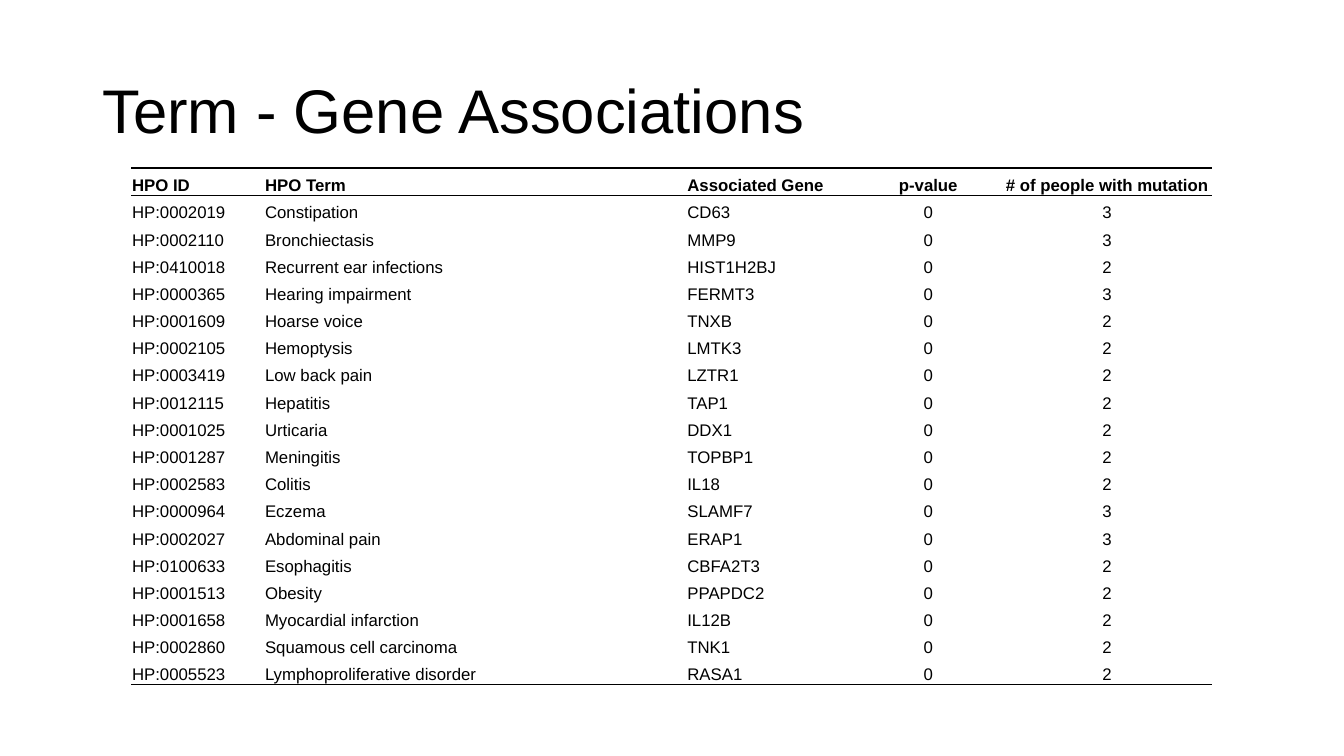
from dataclasses import dataclass

import lxml.etree
import pptx
import pptx.dml.color
import pptx.enum.text
import pptx.oxml.ns
import pptx.slide
import pptx.table
import pptx.text.text
import pptx.util

SLIDE_WIDTH = pptx.util.Inches(13.33)
SLIDE_HEIGHT = pptx.util.Inches(7.5)
GRID_COLUMNS = 160
GRID_ROWS = 90
BLANK_LAYOUT = 6
FONT = "Arial"
INK = "000000"
RULE_WIDTH = pptx.util.Pt(1)
ROW_HEIGHT = 3.24
PLAIN_TABLE_STYLE = "{2D5ABB26-0587-4C30-8999-92F81FD0307C}"
LEFT = pptx.enum.text.PP_ALIGN.LEFT
CENTER = pptx.enum.text.PP_ALIGN.CENTER


@dataclass(frozen=True)
class Field:
    heading: str
    width: float
    alignment: pptx.enum.text.PP_ALIGN = LEFT


@dataclass(frozen=True)
class Association:
    hpo_id: str
    term: str
    gene: str
    people: int
    p_value: int = 0

    def values(self) -> list[str]:
        return [self.hpo_id, self.term, self.gene, str(self.p_value), str(self.people)]


FIELDS = [
    Field("HPO ID", 15.84),
    Field("HPO Term", 50.28),
    Field("Associated Gene", 20.04),
    Field("p-value", 17.52, CENTER),
    Field("# of people with mutation", 25.08, CENTER),
]

ASSOCIATIONS = [
    Association("HP:0002019", "Constipation", "CD63", 3),
    Association("HP:0002110", "Bronchiectasis", "MMP9", 3),
    Association("HP:0410018", "Recurrent ear infections", "HIST1H2BJ", 2),
    Association("HP:0000365", "Hearing impairment", "FERMT3", 3),
    Association("HP:0001609", "Hoarse voice", "TNXB", 2),
    Association("HP:0002105", "Hemoptysis", "LMTK3", 2),
    Association("HP:0003419", "Low back pain", "LZTR1", 2),
    Association("HP:0012115", "Hepatitis", "TAP1", 2),
    Association("HP:0001025", "Urticaria", "DDX1", 2),
    Association("HP:0001287", "Meningitis", "TOPBP1", 2),
    Association("HP:0002583", "Colitis", "IL18", 2),
    Association("HP:0000964", "Eczema", "SLAMF7", 3),
    Association("HP:0002027", "Abdominal pain", "ERAP1", 3),
    Association("HP:0100633", "Esophagitis", "CBFA2T3", 2),
    Association("HP:0001513", "Obesity", "PPAPDC2", 2),
    Association("HP:0001658", "Myocardial infarction", "IL12B", 2),
    Association("HP:0002860", "Squamous cell carcinoma", "TNK1", 2),
    Association("HP:0005523", "Lymphoproliferative disorder", "RASA1", 2),
]


def across(columns: float) -> int:
    return round(SLIDE_WIDTH * columns / GRID_COLUMNS)


def down(rows: float) -> int:
    return round(SLIDE_HEIGHT * rows / GRID_ROWS)


def color(hex_value: str) -> pptx.dml.color.RGBColor:
    return pptx.dml.color.RGBColor.from_string(hex_value)


def style_text(paragraph: pptx.text.text._Paragraph, size: float, bold: bool = False) -> None:
    for run in paragraph.runs:
        run.font.name = FONT
        run.font.size = pptx.util.Pt(size)
        run.font.bold = bold
        run.font.color.rgb = color(INK)


def add_rule(cell: pptx.table._Cell, edge: str) -> None:
    qn = pptx.oxml.ns.qn
    properties = cell._tc.get_or_add_tcPr()
    rule = lxml.etree.SubElement(properties, qn(f"a:{edge}"), w=str(RULE_WIDTH))
    fill = lxml.etree.SubElement(rule, qn("a:solidFill"))
    lxml.etree.SubElement(fill, qn("a:srgbClr"), val=INK)


def fill_cell(cell: pptx.table._Cell, text: str, field: Field, edges: list[str], bold: bool) -> None:
    cell.margin_left = cell.margin_right = cell.margin_top = pptx.util.Inches(0.01)
    cell.margin_bottom = 0
    cell.vertical_anchor = pptx.enum.text.MSO_ANCHOR.BOTTOM
    for edge in edges:
        add_rule(cell, edge)
    cell.fill.background()
    paragraph = cell.text_frame.paragraphs[0]
    paragraph.text = text
    paragraph.alignment = field.alignment
    style_text(paragraph, 12, bold)


def add_title(slide: pptx.slide.Slide, text: str) -> None:
    title = slide.shapes.add_textbox(across(11), down(4.8), across(138), down(17.4))
    title.text_frame.word_wrap = True
    title.text_frame.vertical_anchor = pptx.enum.text.MSO_ANCHOR.MIDDLE
    title.text_frame.text = text
    heading = title.text_frame.paragraphs[0]
    heading.line_spacing = 0.9
    style_text(heading, 44)


def add_association_table(slide: pptx.slide.Slide) -> None:
    lines = [[field.heading for field in FIELDS]]
    lines += [association.values() for association in ASSOCIATIONS]
    last = len(lines) - 1
    table = slide.shapes.add_table(
        len(lines), len(FIELDS), across(15.6), down(20),
        across(sum(field.width for field in FIELDS)), down(ROW_HEIGHT * len(lines)),
    ).table
    table.horz_banding = False
    table._tbl.tblPr.find(pptx.oxml.ns.qn("a:tableStyleId")).text = PLAIN_TABLE_STYLE
    for column, field in zip(table.columns, FIELDS):
        column.width = across(field.width)
    for index, (row, line) in enumerate(zip(table.rows, lines)):
        row.height = down(ROW_HEIGHT)
        edges = {0: ["lnT", "lnB"], last: ["lnB"]}.get(index, [])
        for cell, text, field in zip(row.cells, line, FIELDS):
            fill_cell(cell, text, field, edges, bold=index == 0)


def main() -> None:
    deck = pptx.Presentation()
    deck.slide_width = SLIDE_WIDTH
    deck.slide_height = SLIDE_HEIGHT
    slide = deck.slides.add_slide(deck.slide_layouts[BLANK_LAYOUT])
    add_title(slide, "Term - Gene Associations")
    add_association_table(slide)
    deck.save("out.pptx")


if __name__ == "__main__":
    main()
